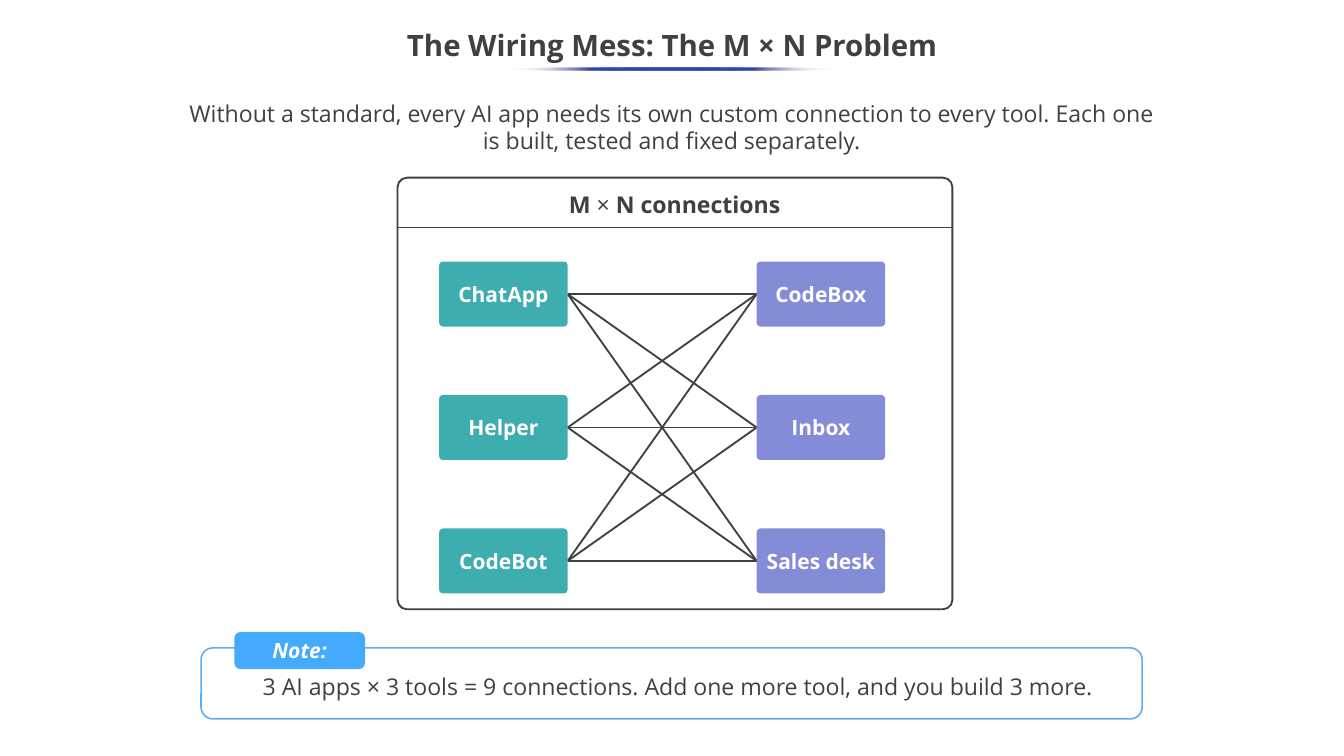
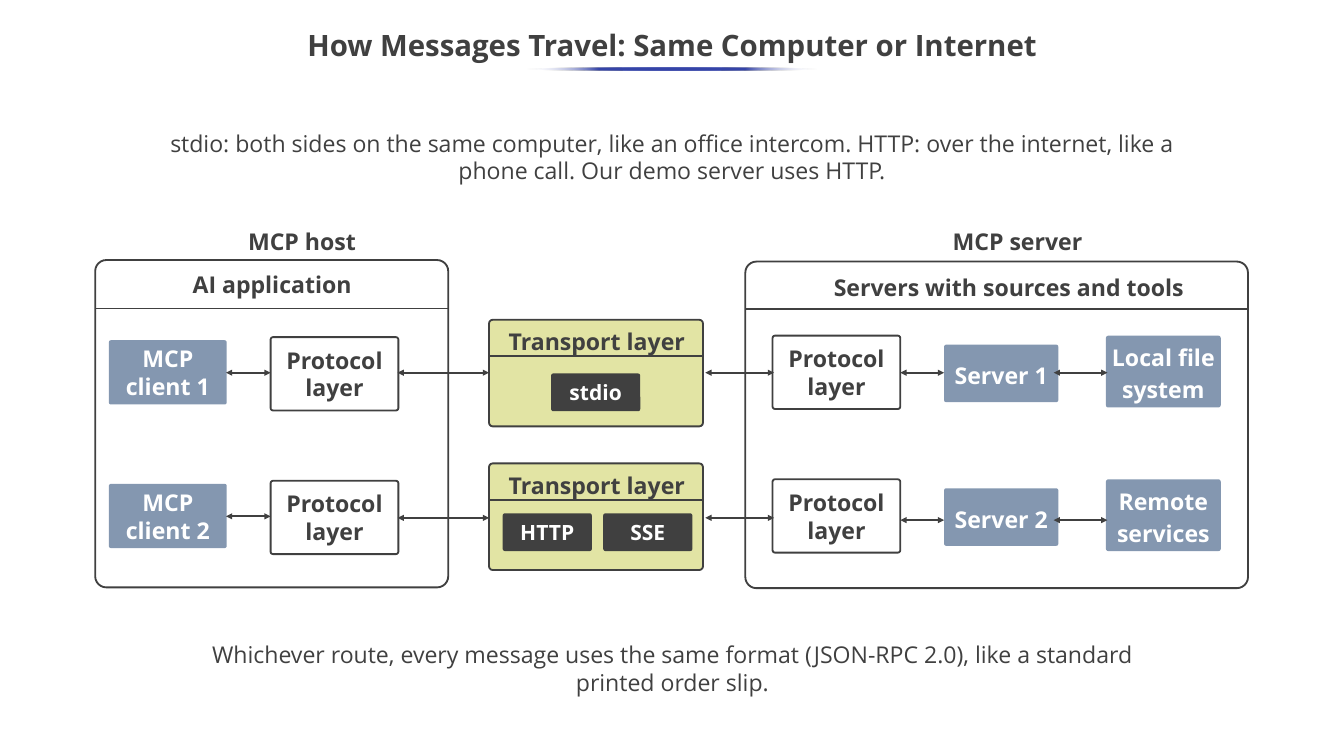
from itertools import product

from lxml.etree import SubElement
from pptx import Presentation
from pptx.dml.color import RGBColor
from pptx.enum.shapes import MSO_CONNECTOR, MSO_SHAPE
from pptx.enum.text import MSO_ANCHOR, PP_ALIGN
from pptx.oxml import parse_xml
from pptx.oxml.ns import nsdecls, qn
from pptx.util import Inches, Pt

WIDTH, HEIGHT = 17.78, 10
FONT = "Open Sans"
COLORS = {
    "ink": "404040",
    "white": "FFFFFF",
    "accent": "3645A9",
    "app": "3EADB0",
    "tool": "848CD8",
    "note_line": "58AFF7",
    "note_tag": "44AAFE",
    "node": "8497B0",
    "transport": "E2E4A4",
}

WIRING = {
    "title": "The Wiring Mess: The M × N Problem",
    "underline": 4.32,
    "intro": "Without a standard, every AI app needs its own custom connection to every tool. "
             "Each one is built, tested and fixed separately.",
    "heading": [("M ", True), ("×", False), (" N connections", True)],
    "apps": ["ChatApp", "Helper", "CodeBot"],
    "tools": ["CodeBox", "Inbox", "Sales desk"],
    "tag": "Note:",
    "note": "3 AI apps × 3 tools = 9 connections. Add one more tool, and you build 3 more.",
}
TRAVEL = {
    "title": "How Messages Travel: Same Computer or Internet",
    "underline": 3.84,
    "intro": "stdio: both sides on the same computer, like an office intercom. HTTP: over the "
             "internet, like a phone call. Our demo server uses HTTP.",
    "closing": "Whichever route, every message uses the same format (JSON-RPC 2.0), like a "
               "standard printed order slip.",
}
PANELS = [
    ((1.26, 3.44, 4.67, 4.33), 4.08),
    ((9.86, 3.46, 6.65, 4.32), 4.09),
]
HEADINGS = [
    ("MCP host", (3.11, 2.95, 1.77, 0.5)),
    ("AI application", (2.42, 3.52, 2.36, 0.5)),
    ("MCP server", (12.32, 2.96, 2.28, 0.49)),
    ("Servers with sources and tools", (10.46, 3.56, 5.77, 0.49)),
]
STAGES = [
    (("MCP client 1", "MCP client 2"), (1.44, 4.5, 1.56, 0.85), "node", 1),
    (("Protocol layer", "Protocol layer"), (3.58, 4.46, 1.69, 0.97), None, 1),
    (("Protocol layer", "Protocol layer"), (10.22, 4.44, 1.69, 0.97), None, 1),
    (("Server 1", "Server 2"), (12.49, 4.56, 1.51, 0.76), "node", 1.15),
    (("Local file system", "Remote services"), (14.63, 4.44, 1.52, 0.95), "node", 1.15),
]
ROW_PITCH = 1.9
TRANSPORTS = [
    (4.23, 4.94, [("stdio", 7.29)]),
    (6.13, 6.79, [("HTTP", 6.65), ("SSE", 7.98)]),
]
ARROWS = [
    (2.99, 3.58, (4.93, 6.83)),
    (5.26, 6.47, (4.93, 6.85)),
    (9.33, 10.24, (4.93, 6.85)),
    (11.91, 12.49, (4.93, 6.88)),
    (13.94, 14.65, (4.93, 6.88)),
]


def color(name):
    return RGBColor.from_string(COLORS[name])


def write(shape, runs, size=22, ink="ink", bold=False, italic=False, spacing=1,
          anchor=MSO_ANCHOR.TOP, insets=(0.1, 0.05)):
    frame = shape.text_frame
    frame.word_wrap = True
    frame.vertical_anchor = anchor
    frame.margin_left = frame.margin_right = Inches(insets[0])
    frame.margin_top = frame.margin_bottom = Inches(insets[1])
    paragraph = frame.paragraphs[0]
    paragraph.alignment = PP_ALIGN.CENTER
    paragraph.line_spacing = spacing
    for text, is_bold in [(runs, bold)] if isinstance(runs, str) else runs:
        run = paragraph.add_run()
        run.text = text
        run.font.name = FONT
        run.font.size = Pt(size)
        run.font.bold = is_bold
        run.font.italic = italic
        run.font.color.rgb = color(ink)


def add_text(slide, box, runs, **style):
    write(slide.shapes.add_textbox(*map(Inches, box)), runs, **style)


def add_heading(slide, box, runs):
    add_text(slide, box, runs, bold=True, spacing=1.15, insets=(0.1, 0))


def add_box(slide, box, radius, fill=None, line=None, line_width=1.75):
    shape = slide.shapes.add_shape(MSO_SHAPE.ROUNDED_RECTANGLE, *map(Inches, box))
    shape.shadow.inherit = False
    shape.adjustments[0] = radius
    if fill:
        shape.fill.solid()
        shape.fill.fore_color.rgb = color(fill)
    else:
        shape.fill.background()
    if line:
        shape.line.color.rgb = color(line)
        shape.line.width = Pt(line_width)
    else:
        shape.line.fill.background()
    return shape


def add_label_box(slide, box, text, fill, radius=0.061, line=None, **style):
    shape = add_box(slide, box, radius, fill, line)
    write(shape, text, bold=True, anchor=MSO_ANCHOR.MIDDLE, insets=(0, 0), **style)


def add_line(slide, start, end, arrows=False):
    line = slide.shapes.add_connector(MSO_CONNECTOR.STRAIGHT, *map(Inches, (*start, *end)))
    line.line.color.rgb = color("ink")
    line.line.width = Pt(1.75)
    if arrows:
        outline = line.line._get_or_add_ln()
        for end_name in ("a:headEnd", "a:tailEnd"):
            SubElement(outline, qn(end_name), type="triangle")
    SubElement(line._element.spPr, qn("a:effectLst"))


def add_panel(slide, box, divider, radius, fill=None):
    add_box(slide, box, radius, fill, "ink")
    add_line(slide, (box[0], divider), (box[0] + box[2], divider))


def add_underline(slide, width):
    left = (WIDTH - width) / 2
    shape = slide.shapes.add_shape(MSO_SHAPE.OVAL, *map(Inches, (left, 0.89, width, 0.04)))
    shape.shadow.inherit = False
    shape.line.fill.background()
    shape.fill.gradient()
    shape.fill.gradient_angle = 180
    clear = f'<a:srgbClr val="{COLORS["white"]}"><a:alpha val="0"/></a:srgbClr>'
    solid = f'<a:srgbClr val="{COLORS["accent"]}"/>'
    stops = "".join(
        f'<a:gs pos="{position * 1000}">{clear if position in (0, 100) else solid}</a:gs>'
        for position in range(0, 101, 25))
    stop_list = shape._element.spPr.find(qn("a:gradFill")).find(qn("a:gsLst"))
    stop_list.getparent().replace(
        stop_list, parse_xml(f'<a:gsLst {nsdecls("a")}>{stops}</a:gsLst>'))


def add_titled_slide(presentation, content):
    slide = presentation.slides.add_slide(presentation.slide_layouts[6])
    add_text(slide, (0, 0.25, WIDTH, 0.75), content["title"], size=28, bold=True,
             spacing=0.9, anchor=MSO_ANCHOR.MIDDLE)
    add_underline(slide, content["underline"])
    return slide


def build_wiring(presentation):
    slide = add_titled_slide(presentation, WIRING)
    add_text(slide, (2.26, 1.26, 13.25, 0.84), WIRING["intro"])
    add_panel(slide, (5.26, 2.35, 7.34, 5.71), 3.01, 0.022)
    add_heading(slide, (6.25, 2.47, 5.35, 0.42), WIRING["heading"])

    app_left, tool_left, box_width, box_height = 5.81, 10.01, 1.7, 0.86
    tops = [3.46 + 1.765 * row for row in range(3)]
    centers = [top + box_height / 2 for top in tops]
    for app_y, tool_y in product(centers, repeat=2):
        add_line(slide, (app_left + box_width, app_y), (tool_left, tool_y))
    for names, left, fill in ((WIRING["apps"], app_left, "app"),
                              (WIRING["tools"], tool_left, "tool")):
        for name, top in zip(names, tops):
            add_label_box(slide, (left, top, box_width, box_height), name, fill,
                          size=20, ink="white")

    add_text(slide, (2.74, 8.69, 12.45, 0.73), WIRING["note"], spacing=1.15,
             anchor=MSO_ANCHOR.MIDDLE)
    add_box(slide, (2.66, 8.57, 12.45, 0.94), 0.167, line="note_line", line_width=1.5)
    add_label_box(slide, (3.1, 8.36, 1.73, 0.49), WIRING["tag"], "note_tag", 0.167,
                  size=20, ink="white", italic=True)


def build_travel(presentation):
    slide = add_titled_slide(presentation, TRAVEL)
    add_text(slide, (1.93, 1.66, 13.92, 0.84), TRAVEL["intro"])
    add_text(slide, (2.3, 8.42, 13.19, 0.84), TRAVEL["closing"])
    for box, divider in PANELS:
        add_panel(slide, box, divider, 0.034)
    for text, box in HEADINGS:
        add_heading(slide, box, text)

    for names, (left, top, width, height), fill, spacing in STAGES:
        for row, name in enumerate(names):
            add_label_box(slide, (left, top + ROW_PITCH * row, width, height), name, fill,
                          0.034, None if fill else "ink",
                          ink="white" if fill else "ink", spacing=spacing)

    for top, chip_top, chips in TRANSPORTS:
        add_panel(slide, (6.47, top, 2.83, 1.41), top + 0.48, 0.034, "transport")
        add_heading(slide, (6.53, top + 0.05, 2.73, 0.43), "Transport layer")
        for name, left in chips:
            add_label_box(slide, (left, chip_top, 1.18, 0.5), name, "ink",
                          size=20, ink="white")

    for start, end, levels in ARROWS:
        for level in levels:
            add_line(slide, (start, level), (end, level), arrows=True)


def main():
    presentation = Presentation()
    presentation.slide_width = Inches(WIDTH)
    presentation.slide_height = Inches(HEIGHT)
    build_wiring(presentation)
    build_travel(presentation)
    presentation.save("out.pptx")


if __name__ == "__main__":
    main()
